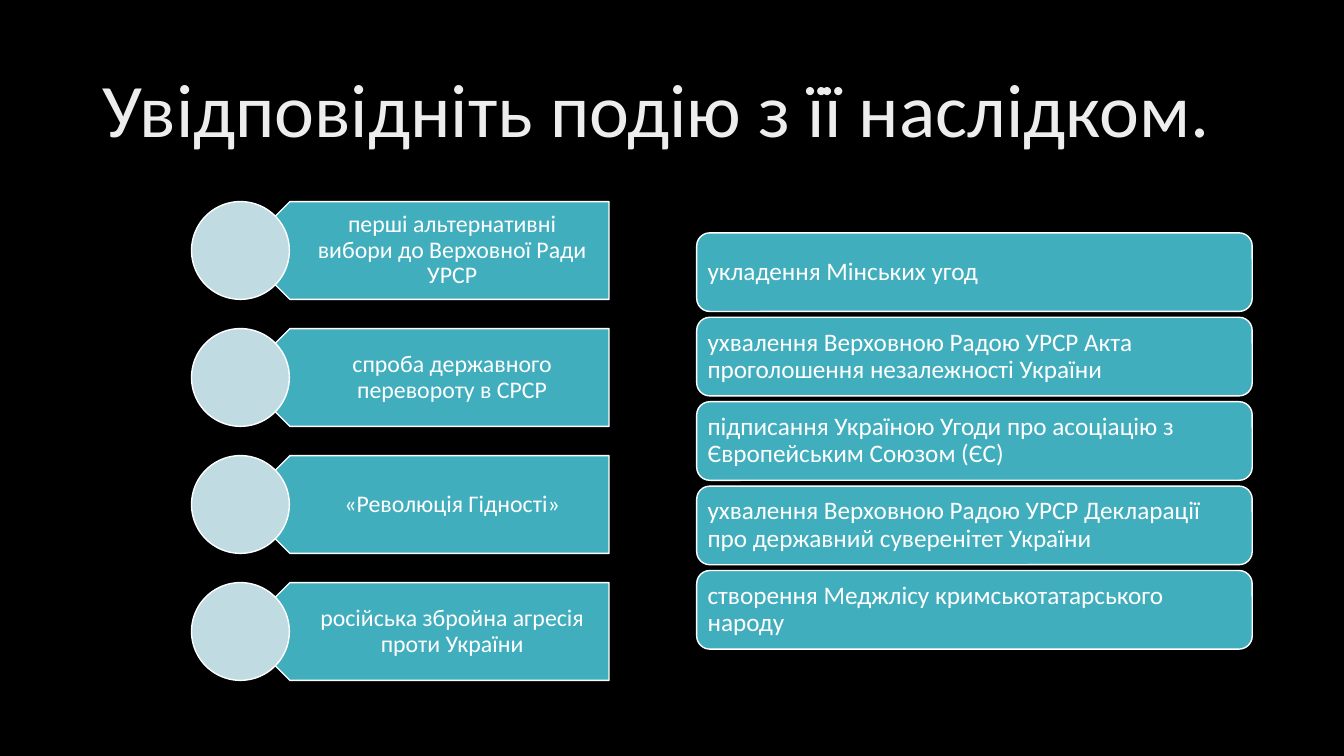
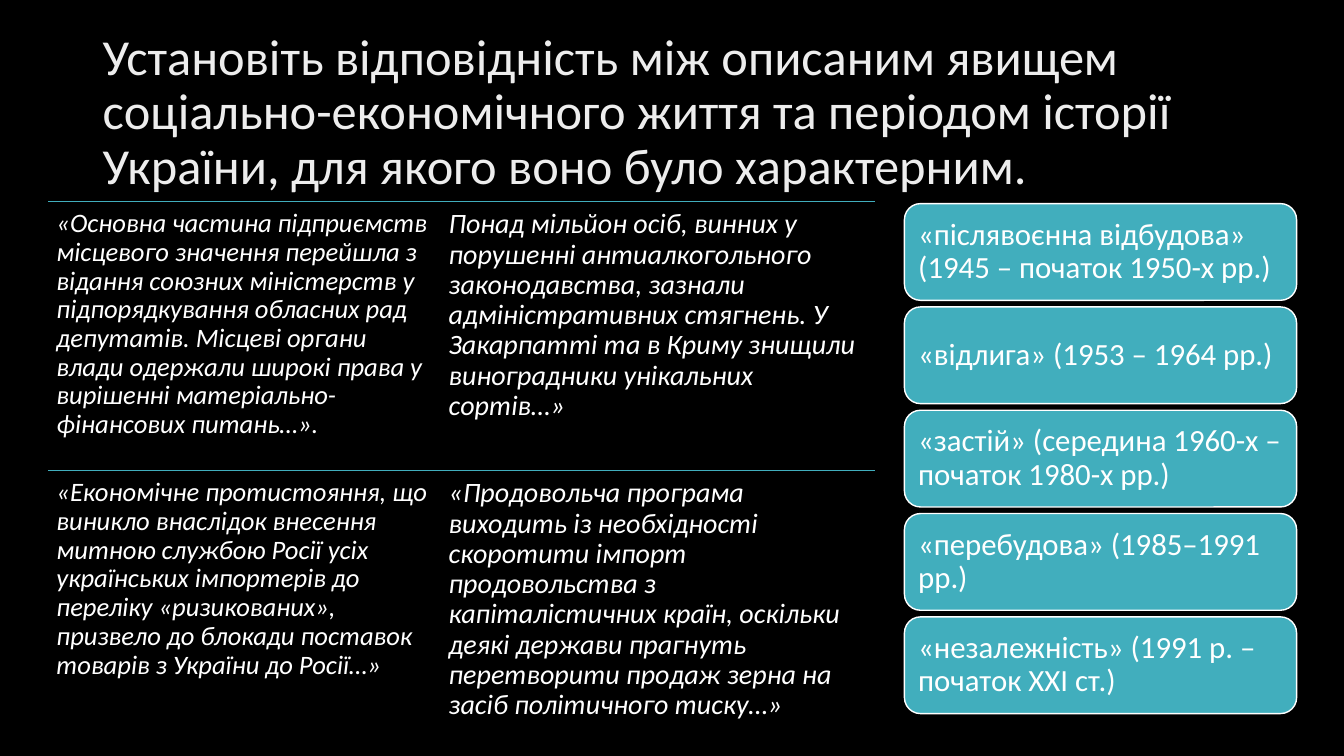
from lxml import etree
from pptx import Presentation
from pptx.dml.color import RGBColor
from pptx.enum import shapes, text
from pptx.oxml.ns import qn
from pptx.util import Inches, Pt

# Shared style
FONT = "Calibri"
BLACK = RGBColor(0x00, 0x00, 0x00)
WHITE = RGBColor(0xFF, 0xFF, 0xFF)
TITLE_GREY = RGBColor(0xED, 0xED, 0xED)
TEAL = RGBColor(0x41, 0xAE, 0xBD)
PALE_TEAL = RGBColor(0xC0, 0xDB, 0xE1)
SHAPE = shapes.MSO_SHAPE
LEFT, CENTER = text.PP_ALIGN.LEFT, text.PP_ALIGN.CENTER
TOP, MIDDLE = text.MSO_ANCHOR.TOP, text.MSO_ANCHOR.MIDDLE

# Content
MATCH_TITLE = "Увідповідніть подію з її наслідком."
EVENTS = [
    "перші альтернативні вибори до Верховної Ради УРСР",
    "спроба державного перевороту в СРСР",
    "«Революція Гідності»",
    "російська збройна агресія проти України",
]
CONSEQUENCES = [
    "укладення Мінських угод",
    "ухвалення Верховною Радою УРСР Акта проголошення незалежності України",
    "підписання Україною Угоди про асоціацію з Європейським Союзом (ЄС)",
    "ухвалення Верховною Радою УРСР Декларації про державний суверенітет України",
    "створення Меджлісу кримськотатарського народу",
]
PERIOD_TITLE = (
    "Установіть відповідність між описаним явищем соціально-економічного життя "
    "та періодом історії України, для якого воно було характерним."
)
# Each column: left, width, text size, quotes
QUOTE_COLUMNS = [
    (0.48, 3.89, 19, [
        "«Основна частина підприємств місцевого значення перейшла з відання союзних "
        "міністерств у підпорядкування обласних рад депутатів. Місцеві органи влади "
        "одержали широкі права у вирішенні матеріально-фінансових питань…».",
        "«Економічне протистояння, що виникло внаслідок внесення митною службою Росії "
        "усіх українських імпортерів до переліку «ризикованих», призвело до блокади "
        "поставок товарів з України до Росії…»",
    ]),
    (4.37, 4.31, 20, [
        "Понад мільйон осіб, винних у порушенні антиалкогольного законодавства, зазнали "
        "адміністративних стягнень. У Закарпатті та в Криму знищили виноградники "
        "унікальних сортів…»",
        "«Продовольча програма виходить із необхідності скоротити імпорт продовольства "
        "з капіталістичних країн, оскільки деякі держави прагнуть перетворити продаж "
        "зерна на засіб політичного тиску…»",
    ]),
]
PERIODS = [
    "«післявоєнна відбудова» (1945 – початок 1950-х рр.)",
    "«відлига» (1953 – 1964 рр.)",
    "«застій» (середина 1960-х – початок 1980-х рр.)",
    "«перебудова» (1985–1991 рр.)",
    "«незалежність» (1991 р. – початок ХХІ ст.)",
]


def write(shape, words, size, margins, color=WHITE, align=LEFT, anchor=MIDDLE, italic=False):
    frame = shape.text_frame
    frame.word_wrap = True
    frame.vertical_anchor = anchor
    (frame.margin_left, frame.margin_top,
     frame.margin_right, frame.margin_bottom) = map(Inches, margins)
    paragraph = frame.paragraphs[0]
    paragraph.alignment = align
    paragraph.line_spacing = 0.9
    run = paragraph.add_run()
    run.text = words
    run.font.name = FONT
    run.font.size = Pt(size)
    run.font.italic = italic
    run.font.color.rgb = color


def add_text(slide, box, *args, **style):
    write(slide.shapes.add_textbox(*map(Inches, box)), *args, **style)


def add_block(slide, kind, box, fill=TEAL):
    shape = slide.shapes.add_shape(kind, *map(Inches, box))
    shape.shadow.inherit = False
    shape.fill.solid()
    shape.fill.fore_color.rgb = fill
    shape.line.color.rgb = WHITE
    shape.line.width = Pt(1)
    return shape


def add_rule(slide, left, right, y):
    rule = slide.shapes.add_connector(
        shapes.MSO_CONNECTOR.STRAIGHT, *map(Inches, (left, y, right, y)))
    rule.line.color.rgb = TEAL
    rule.line.width = Pt(1)
    etree.SubElement(rule._element.spPr, qn("a:effectLst"))


def add_cards(slide, labels, left, top, width, bottom, height, size, margin):
    """Spread equal rounded cards between top and bottom."""
    pitch = (bottom - top - height) / (len(labels) - 1)
    for index, label in enumerate(labels):
        card = add_block(slide, SHAPE.ROUNDED_RECTANGLE,
                         (left, top + index * pitch, width, height))
        write(card, label, size, [margin] * 4)


def add_events(slide):
    """Left-pointing tags, each with a circle over its tip."""
    height, pitch = 0.97, 1.26
    for index, event in enumerate(EVENTS):
        top = 2 + index * pitch
        add_block(slide, SHAPE.PENTAGON, (2.39, top, 3.65, height)).rotation = 180
        add_text(slide, (2.63, top, 3.41, height), event, 17,
                 (0.43, 0.07, 0.13, 0.07), align=CENTER)
        add_block(slide, SHAPE.OVAL, (1.9, top, height, height), PALE_TEAL)


def add_quotes(slide):
    """Columns of quotations, each under a thin rule."""
    height = 2.67
    for left, width, size, quotes in QUOTE_COLUMNS:
        for row, quote in enumerate(quotes):
            top = 2 + row * height
            add_rule(slide, left, left + width, top)
            add_text(slide, (left, top, width, height), quote, size,
                     [0.08] * 4, anchor=TOP, italic=True)


def add_slide(presentation, title, size):
    slide = presentation.slides.add_slide(presentation.slide_layouts[6])
    slide.background.fill.solid()
    slide.background.fill.fore_color.rgb = BLACK
    add_text(slide, (0.92, 0.4, 11.5, 1.45), title, size,
             (0.1, 0.05, 0.1, 0.05), color=TITLE_GREY)
    return slide


def main():
    presentation = Presentation()
    presentation.slide_width = Inches(13.33)
    presentation.slide_height = Inches(7.5)

    # Events and consequences
    slide = add_slide(presentation, MATCH_TITLE, 54)
    add_events(slide)
    add_cards(slide, CONSEQUENCES, left=6.91, top=2.31, width=5.51, bottom=6.44,
              height=0.78, size=18, margin=0.07)

    # Quotations and periods
    slide = add_slide(presentation, PERIOD_TITLE, 36)
    add_quotes(slide)
    add_cards(slide, PERIODS, left=8.97, top=2.02, width=3.89, bottom=7.08,
              height=0.96, size=22, margin=0.09)

    presentation.save("out.pptx")


if __name__ == "__main__":
    main()
